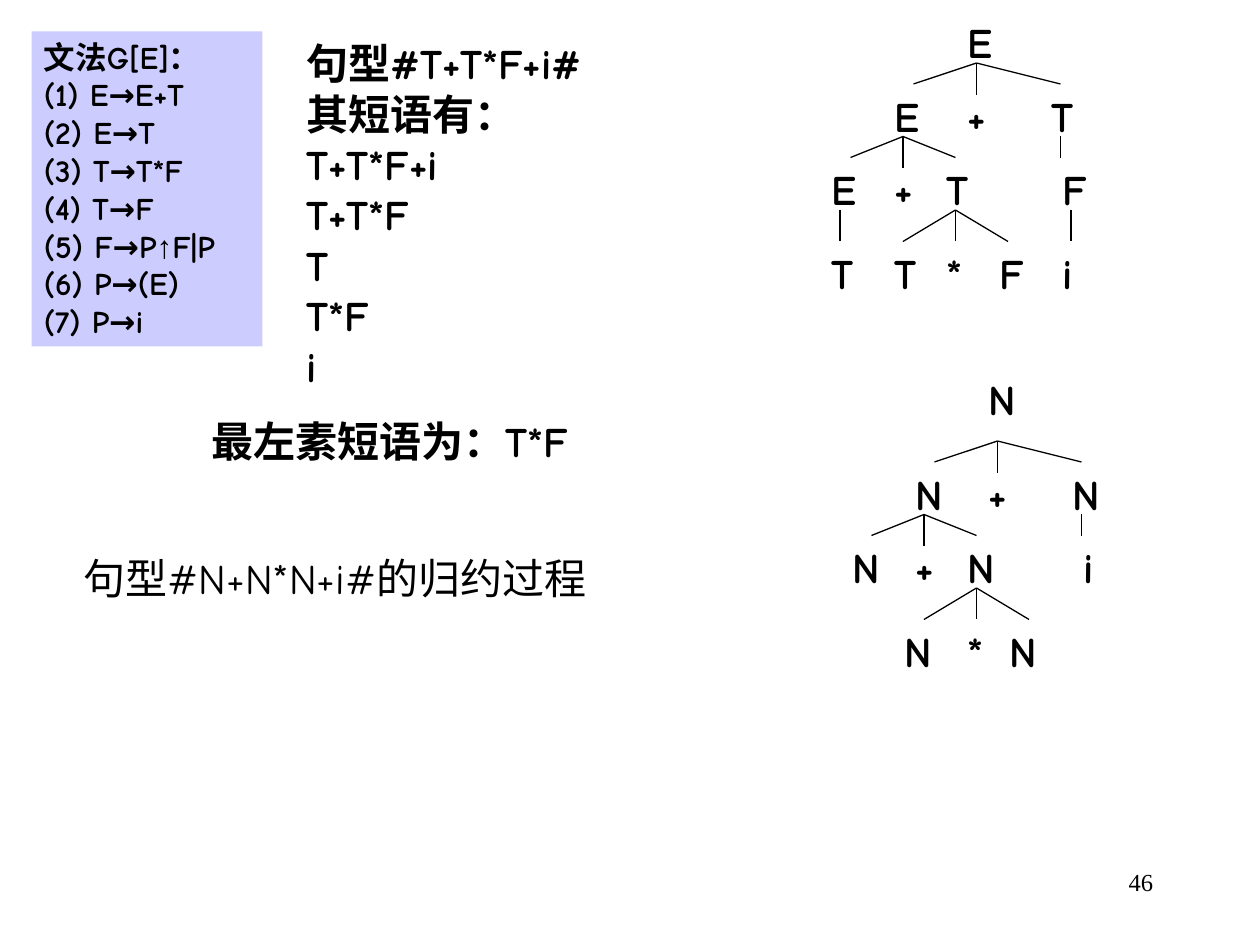
from lxml.etree import SubElement
from pptx import Presentation
from pptx.dml.color import RGBColor
from pptx.enum.shapes import MSO_CONNECTOR, MSO_SHAPE
from pptx.enum.text import MSO_ANCHOR, MSO_AUTO_SIZE, PP_ALIGN
from pptx.oxml.ns import qn
from pptx.util import Inches, Pt

BLACK = RGBColor(0x00, 0x00, 0x00)
LILAC = RGBColor(0xCC, 0xCC, 0xFF)
FONT = "Comic Neue"
COLS, ROWS = 120, 90

GRAMMAR = [
    [("文法G[E]：", FONT)],
    [("(1) E→E+T", FONT)],
    [("(2) E→T", FONT)],
    [("(3) T→T*F", FONT)],
    [("(4) T→F", FONT)],
    [("(5) F→P", FONT), ("↑", "Arial"), ("F|P", FONT)],
    [("(6) P→(E)", FONT)],
    [("(7) P→i", FONT)],
]
PHRASES = ["句型#T+T*F+i#", "其短语有：", "T+T*F+i", "T+T*F", "T", "T*F", "i"]

# Each tree level: row, then (column, symbol) pairs
FIRST = [
    (1, [(91, "E")]),
    (8, [(84, "E"), (91, "+"), (99, "T")]),
    (15, [(78, "E"), (84, "+"), (89, "T"), (100, "F")]),
    (23, [(78, "T"), (84, "T"), (89, "*"), (94, "F"), (100, "i")]),
]
SECOND = [
    (35, [(93, "N")]),
    (44, [(86, "N"), (93, "+"), (101, "N")]),
    (51, [(80, "N"), (86, "+"), (91, "N"), (102, "i")]),
    (59, [(85, "N"), (91, "*"), (95, "N")]),
]
# Each fan: the top point, then the ends of its branches
FANS = [
    ((93, 6), [(93, 9), (87, 8), (101, 8)]),
    ((86, 13), [(86, 16), (91, 15), (81, 15)]),
    ((91, 20), [(91, 23), (86, 23), (96, 23)]),
    ((101, 13), [(101, 15)]),
]
STEMS = [((80, 20), [(80, 23)]), ((102, 20), [(102, 23)])]


def grid(*cells):
    """Turn grid counts (twelve to the inch) into lengths."""
    return [Inches(cell / 12) for cell in cells]


def fill_text(shape, lines, size=24, bold=True, wrap=True):
    """Write lines of (text, font) runs into one paragraph."""
    frame = shape.text_frame
    frame.word_wrap = wrap
    frame.auto_size = MSO_AUTO_SIZE.SHAPE_TO_FIT_TEXT
    frame.vertical_anchor = MSO_ANCHOR.TOP
    para = frame.paragraphs[0]
    para.alignment = PP_ALIGN.LEFT
    para.font.size = Pt(size)
    for index, line in enumerate(lines):
        if index:
            para.add_line_break()
        for text, face in line:
            run = para.add_run()
            run.text = text
            font = run.font
            font.name, font.size, font.bold = face, Pt(size), bold
            font.color.rgb = BLACK
    return para


def add_text(slide, box, lines, face=FONT, **style):
    shape = slide.shapes.add_textbox(*grid(*box))
    return fill_text(shape, [[(line, face)] for line in lines], **style)


def add_panel(slide, box, lines):
    panel = slide.shapes.add_shape(MSO_SHAPE.RECTANGLE, *grid(*box))
    panel.shadow.inherit = False
    panel.fill.solid()
    panel.fill.fore_color.rgb = LILAC
    panel.line.fill.background()
    fill_text(panel, lines, size=18)


def add_nodes(slide, levels):
    for row, nodes in levels:
        for col, mark in nodes:
            wide = 6 if row in (35, 59) and mark == "N" else 5
            add_text(slide, (col, row, wide, 6), [mark])


def add_fans(slide, fans, right=0, down=0):
    for (col, row), ends in fans:
        for x, y in ends:
            branch = slide.shapes.add_connector(
                MSO_CONNECTOR.STRAIGHT,
                *grid(col + right, row + down, x + right, y + down))
            branch.line.color.rgb = BLACK
            branch.line.width = Pt(0.75)
            SubElement(branch._element.spPr, qn("a:effectLst"))


def main():
    deck = Presentation()
    deck.slide_width, deck.slide_height = grid(COLS, ROWS)
    slide = deck.slides.add_slide(deck.slide_layouts[6])

    page = add_text(slide, (86, 82, 25, 6), ["46"], "Times New Roman",
                    size=14, bold=False)
    page.alignment = PP_ALIGN.RIGHT

    add_panel(slide, (3, 3, 22, 30), GRAMMAR)
    add_text(slide, (28, 3, 35, 35), PHRASES)
    add_nodes(slide, FIRST)
    add_fans(slide, FANS + STEMS)

    add_text(slide, (19, 39, 47, 6), ["最左素短语为：T*F"])
    add_text(slide, (6.8, 52, 52, 6), ["句型#N+N*N+i#的归约过程"],
             bold=False, wrap=False)
    add_nodes(slide, SECOND)
    add_fans(slide, FANS, right=2, down=36)

    deck.save("out.pptx")


if __name__ == "__main__":
    main()
